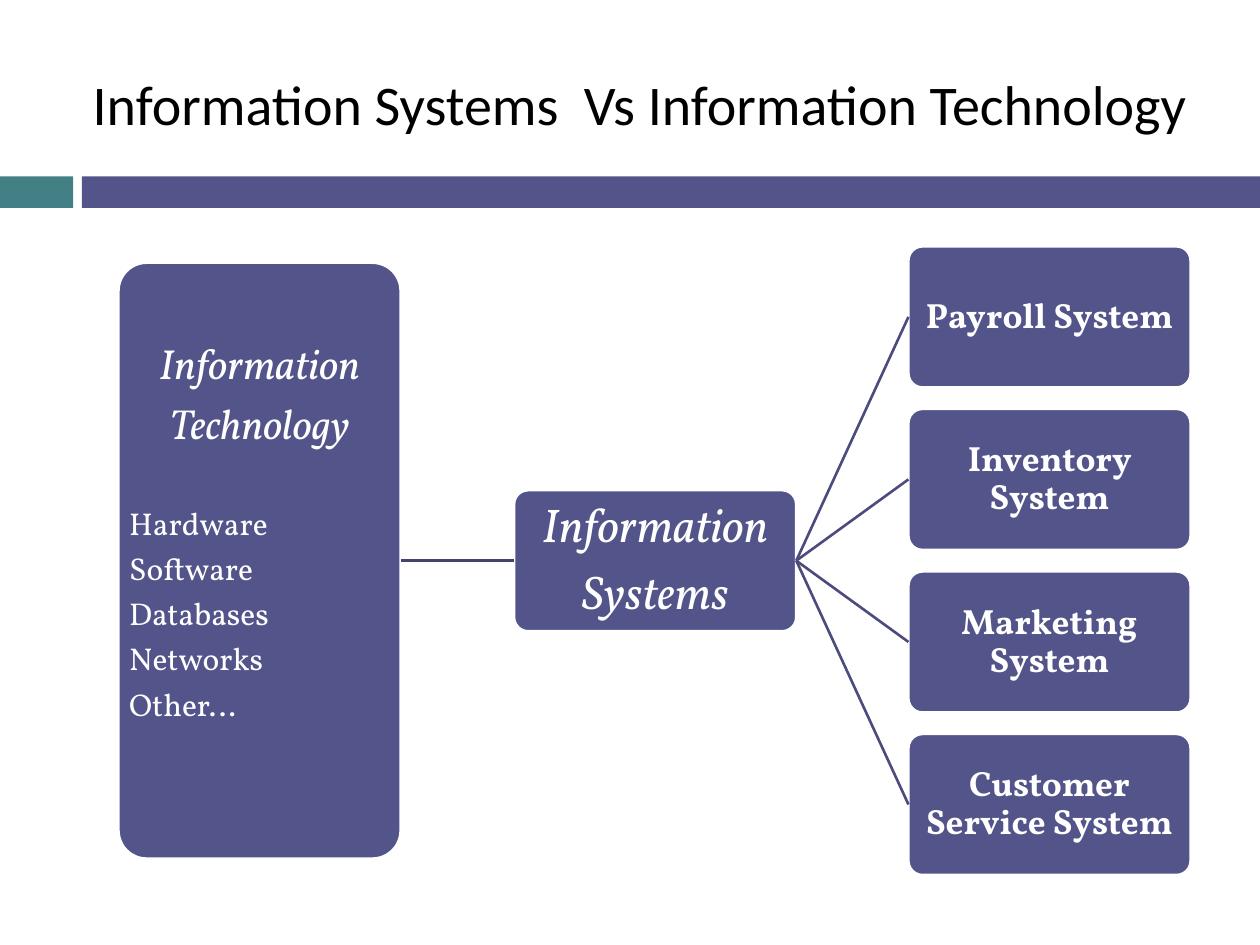
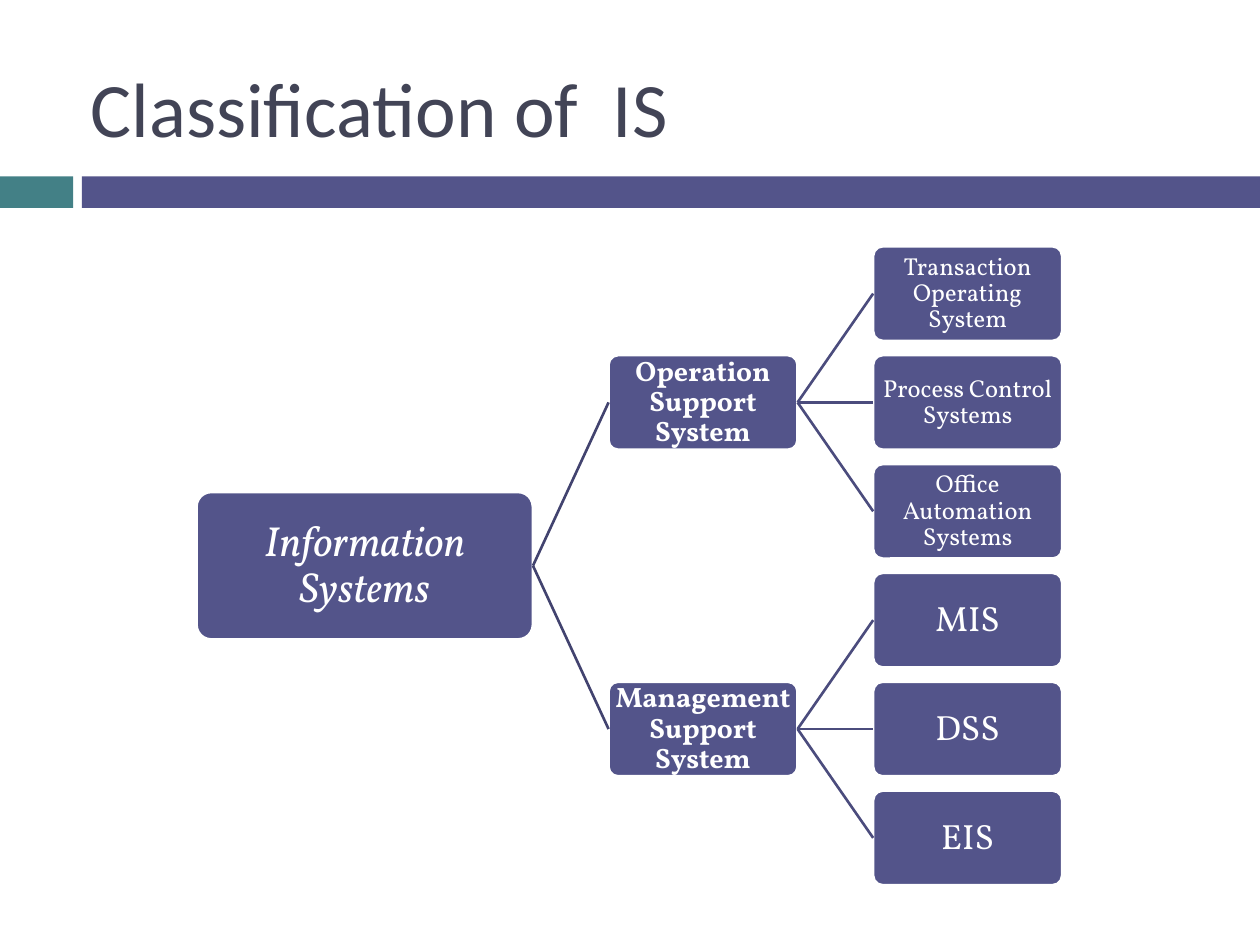
from pptx import Presentation
from pptx.util import Inches, Pt
from pptx.dml.color import RGBColor as RGB
from pptx.enum.shapes import MSO_SHAPE as SHAPE, MSO_CONNECTOR as LINE
from pptx.enum.text import PP_ALIGN as ALIGN, MSO_ANCHOR as ANCHOR
from pptx.oxml.ns import qn
from lxml import etree

COLORS = {"teal": "438086", "violet": "53548A", "dark": "42436F", "link": "4B4C7D",
          "slate": "424456", "black": "000000", "white": "FFFFFF"}
color = {name: RGB.from_string(code) for name, code in COLORS.items()}
BANDS = [(0, 0.58, "teal"), (0.65, 9.35, "violet")]

deck = Presentation()
deck.slide_width, deck.slide_height = Inches(10), Inches(7.5)


def add_box(slide, left, mid, width, height, text, size, bold=False, italic=False, inset=0.01):
    """Rounded box centred on the height mid, one paragraph per text line."""
    box = slide.shapes.add_shape(SHAPE.ROUNDED_RECTANGLE, Inches(left), Inches(mid - height / 2),
                                 Inches(width), Inches(height))
    box.adjustments[0] = 0.1
    box.shadow.inherit = False
    box.fill.solid()
    box.fill.fore_color.rgb = color["violet"]
    box.line.color.rgb = color["white"]
    box.line.width = Pt(1.5)
    frame = box.text_frame
    frame.word_wrap = True
    frame.vertical_anchor = ANCHOR.MIDDLE
    frame.margin_left = frame.margin_right = Inches(inset)
    frame.margin_top = frame.margin_bottom = Inches(inset)
    frame.text = text
    for para in frame.paragraphs:
        para.alignment = ALIGN.CENTER
        para.line_spacing = 0.9
        para.space_after = Pt(0.35 * size)
        font = para.runs[0].font
        font.name, font.size = "Vollkorn", Pt(size)
        font.bold, font.italic = bold, italic
        font.color.rgb = color["white"]
    return box


def join(slide, start, end, tone="link"):
    """Line from the right side of one box to the left side of the next."""
    line = slide.shapes.add_connector(LINE.STRAIGHT, 0, 0, 0, 0)
    line.begin_connect(start, 3)
    line.end_connect(end, 1)
    line.line.color.rgb = color[tone]
    line.line.width = Pt(1.5)
    etree.SubElement(line._element.spPr, qn("a:effectLst"))


# Slides with title and bands
titles = [
    ("Information Systems  Vs Information Technology", (0.16, 0.39, 9.84, 0.86),
     32, "black", ALIGN.CENTER),
    ("Classification of  IS", (0.62, 0.31, 8.92, 1.08), 44, "slate", ALIGN.LEFT),
]
slides = []
for text, place, size, tone, align in titles:
    slide = deck.slides.add_slide(deck.slide_layouts[6])
    slides.append(slide)
    for left, width, fill in BANDS:
        band = slide.shapes.add_shape(SHAPE.RECTANGLE, Inches(left), Inches(1.4),
                                      Inches(width), Inches(0.25))
        band.shadow.inherit = False
        band.fill.solid()
        band.fill.fore_color.rgb = color[fill]
        band.line.fill.background()
    frame = slide.shapes.add_textbox(*[Inches(n) for n in place]).text_frame
    frame.word_wrap = True
    frame.vertical_anchor = ANCHOR.MIDDLE
    frame.text = text
    para = frame.paragraphs[0]
    para.alignment = align
    font = para.runs[0].font
    font.name, font.size = "Calibri", Pt(size)
    font.color.rgb = color[tone]
versus, classes = slides

# Slide 1: technology box with its list of parts
mid, wide, high = 4.45, 2.24, 1.12
parts = ["Hardware", "Software", "Databases", "Networks", "Other…"]
tech = add_box(versus, 0.94, mid, wide, 4.73, "\n".join(["Information", "Technology"] + parts),
               24, italic=True, inset=0.02)
tech.text_frame.margin_bottom = Inches(0.46)
items = tech.text_frame.paragraphs[2:]
for para in items:
    para.alignment = ALIGN.LEFT
    para.space_after = Pt(6.3)
    para.runs[0].font.size = Pt(18)
    para.runs[0].font.italic = False
items[0].space_before = Pt(26)

# Slide 1: information systems and their examples
hub = add_box(versus, 4.08, mid, wide, high, "Information\nSystems", 27, italic=True, inset=0.02)
join(versus, tech, hub, "dark")
kinds = ["Payroll System", "Inventory System", "Marketing System", "Customer Service System"]
for i, text in enumerate(kinds):
    leaf = add_box(versus, 7.21, mid + (i - 1.5) * 1.29, wide, high, text, 20, bold=True)
    join(versus, hub, leaf)

# Slide 2: tree of two groups with three systems each
mid, wide, high, step = 4.49, 1.5, 0.75, 0.864
root = add_box(classes, 1.56, mid, 2.67, 1.17, "Information Systems", 24, italic=True, inset=0.02)
groups = [
    ("Operation Support System", 14,
     ["Transaction Operating System", "Process Control Systems", "Office Automation Systems"]),
    ("Management Support System", 20, ["MIS", "DSS", "EIS"]),
]
for i, (text, size, leaves) in enumerate(groups):
    level = mid + (i - 0.5) * 3 * step
    group = add_box(classes, 4.83, level, wide, high, text, 16, bold=True)
    join(classes, root, group, "dark")
    for j, name in enumerate(leaves):
        leaf = add_box(classes, 6.93, level + (j - 1) * step, wide, high, name, size)
        join(classes, group, leaf)

deck.save("out.pptx")
